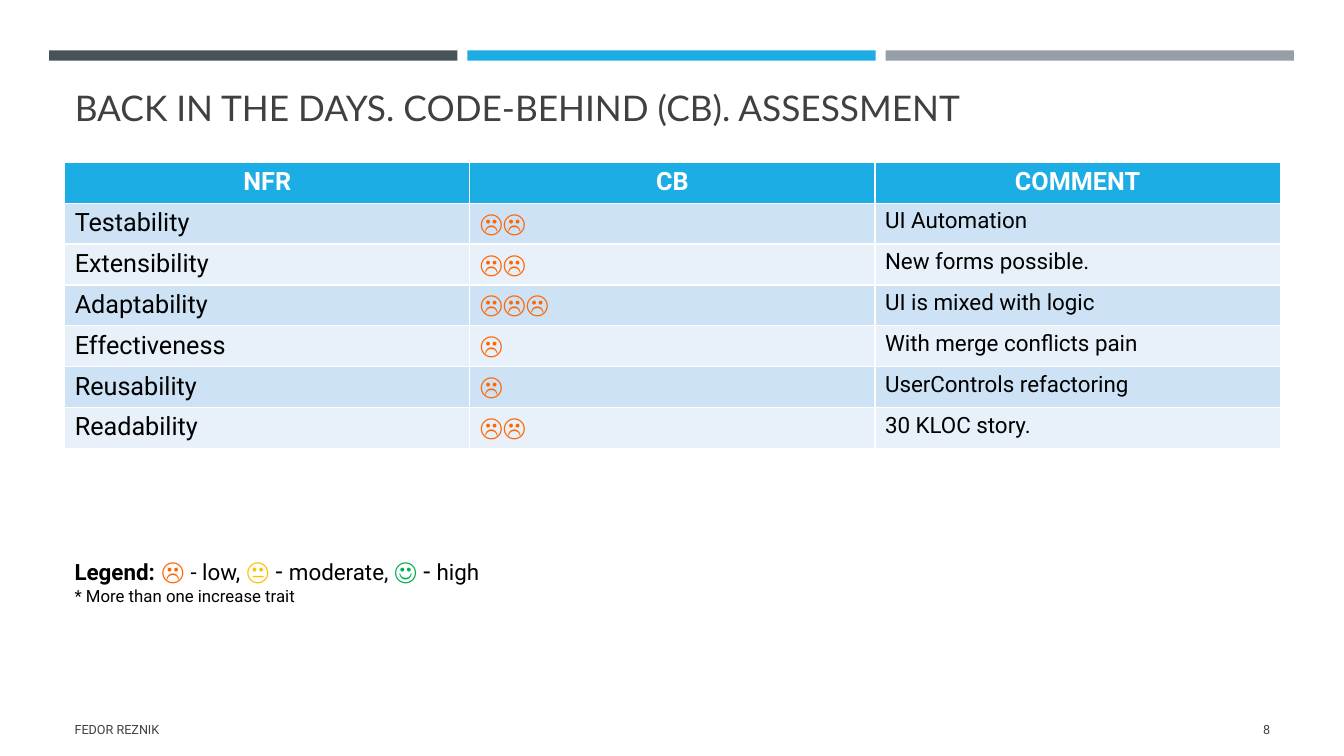
from pptx import Presentation
from pptx.dml.color import RGBColor
from pptx.enum.shapes import MSO_SHAPE
from pptx.enum.text import MSO_ANCHOR, MSO_AUTO_SIZE, PP_ALIGN
from pptx.util import Cm, Pt

RECTANGLE = MSO_SHAPE.RECTANGLE
TOP, MIDDLE, BOTTOM = MSO_ANCHOR.TOP, MSO_ANCHOR.MIDDLE, MSO_ANCHOR.BOTTOM
NO_AUTOFIT = MSO_AUTO_SIZE.NONE
LEFT, CENTER, RIGHT = PP_ALIGN.LEFT, PP_ALIGN.CENTER, PP_ALIGN.RIGHT

BODY_FONT, TITLE_FONT = "Roboto", "Lato"
BLACK, WHITE, GRAY = "000000", "FFFFFF", "404040"
BLUE, DARK_BAND, LIGHT_BAND = "1CADE4", "CDE3F5", "E8F1FA"
ORANGE, YELLOW, GREEN = "FF6600", "FFC000", "00B050"

MARGIN, CONTENT_WIDTH = 1.63, 30.63
BAR_LEFT, BAR_PITCH, BAR_WIDTH = 1.24, 10.54, 10.29
BAR_COLORS = ["465359", BLUE, "969FA7"]
ROW_HEIGHT = 1.03

HEADINGS = ["NFR", "CB", "COMMENT"]
ASSESSMENT = [
    ("Testability", "☹☹", "UI Automation"),
    ("Extensibility", "☹☹", "New forms possible."),
    ("Adaptability", "☹☹☹", "UI is mixed with logic"),
    ("Effectiveness", "☹", "With merge conflicts pain"),
    ("Reusability", "☹", "UserControls refactoring"),
    ("Readability", "☹☹", "30 KLOC story."),
]
COLUMN_STYLES = [(18, BLACK, TOP), (18, ORANGE, MIDDLE), (16, BLACK, TOP)]
LEGEND = [
    ("Legend:", 16, BLACK, True),
    (" ", 18, BLACK, False),
    ("☹ ", 18, ORANGE, False),
    ("- low,", 16, BLACK, False),
    (" ", 18, BLACK, False),
    ("😐", 18, YELLOW, False),
    (" - ", 18, BLACK, False),
    ("moderate, ", 16, BLACK, False),
    ("☺", 18, GREEN, False),
    (" - ", 18, BLACK, False),
    ("high", 16, BLACK, False),
]


def color(hex_string):
    return RGBColor.from_string(hex_string)


def format_font(font, size, hex_color, bold=False, name=BODY_FONT):
    font.name = name
    font.size = Pt(size)
    font.bold = bold
    font.color.rgb = color(hex_color)


def add_bars(slide):
    for index, fill in enumerate(BAR_COLORS):
        bar = slide.shapes.add_shape(
            RECTANGLE, Cm(BAR_LEFT + index * BAR_PITCH), Cm(1.27), Cm(BAR_WIDTH), Cm(0.26)
        )
        bar.shadow.inherit = False
        bar.fill.solid()
        bar.fill.fore_color.rgb = color(fill)
        bar.line.fill.background()


def set_title(slide, text):
    title = slide.shapes.title
    title.left, title.top = Cm(MARGIN), Cm(1.96)
    title.width, title.height = Cm(CONTENT_WIDTH), Cm(1.4)
    frame = title.text_frame
    frame.text = text
    frame.auto_size = NO_AUTOFIT
    frame.vertical_anchor = BOTTOM
    paragraph = frame.paragraphs[0]
    paragraph.alignment = LEFT
    format_font(paragraph.runs[0].font, 25.2, GRAY, name=TITLE_FONT)


def fill_cell(cell, text, fill, size, hex_color, anchor=TOP, alignment=LEFT, bold=False):
    cell.fill.solid()
    cell.fill.fore_color.rgb = color(fill)
    cell.vertical_anchor = anchor
    cell.text = text
    paragraph = cell.text_frame.paragraphs[0]
    paragraph.alignment = alignment
    format_font(paragraph.runs[0].font, size, hex_color, bold)


def add_assessment_table(slide):
    row_count = len(ASSESSMENT) + 1
    table = slide.shapes.add_table(
        row_count, len(HEADINGS), Cm(MARGIN), Cm(4.09),
        Cm(CONTENT_WIDTH), Cm(row_count * ROW_HEIGHT),
    ).table
    for column, heading in enumerate(HEADINGS):
        fill_cell(table.cell(0, column), heading, BLUE, 18, WHITE, alignment=CENTER, bold=True)
    for row, texts in enumerate(ASSESSMENT, start=1):
        band = DARK_BAND if row % 2 else LIGHT_BAND
        for column, (text, style) in enumerate(zip(texts, COLUMN_STYLES)):
            fill_cell(table.cell(row, column), text, band, *style)


def add_text_frame(slide, left, top, width, height, anchor=TOP):
    frame = slide.shapes.add_textbox(Cm(left), Cm(top), Cm(width), Cm(height)).text_frame
    frame.word_wrap = True
    frame.vertical_anchor = anchor
    return frame


def add_legend(slide):
    frame = add_text_frame(slide, MARGIN, 13.87, CONTENT_WIDTH, 1.55)
    for text, size, hex_color, bold in LEGEND:
        run = frame.paragraphs[0].add_run()
        run.text = text
        format_font(run.font, size, hex_color, bold)
    note = frame.add_paragraph()
    note.text = "* More than one increase trait"
    format_font(note.runs[0].font, 12, BLACK)


def add_footer(slide, text, left, width, alignment):
    frame = add_text_frame(slide, left, 17.86, width, 1.02, MIDDLE)
    frame.text = text
    paragraph = frame.paragraphs[0]
    paragraph.alignment = alignment
    format_font(paragraph.runs[0].font, 9, GRAY)


def main():
    presentation = Presentation()
    presentation.slide_width, presentation.slide_height = Cm(33.87), Cm(19.05)
    slide = presentation.slides.add_slide(presentation.slide_layouts[5])
    add_bars(slide)
    set_title(slide, "BACK IN THE DAYS. CODE-BEHIND (CB). ASSESSMENT")
    add_assessment_table(slide)
    add_legend(slide)
    add_footer(slide, "FEDOR REZNIK", MARGIN, 19.2, LEFT)
    add_footer(slide, "8", 29.34, 2.92, RIGHT)
    presentation.save("out.pptx")


if __name__ == "__main__":
    main()
